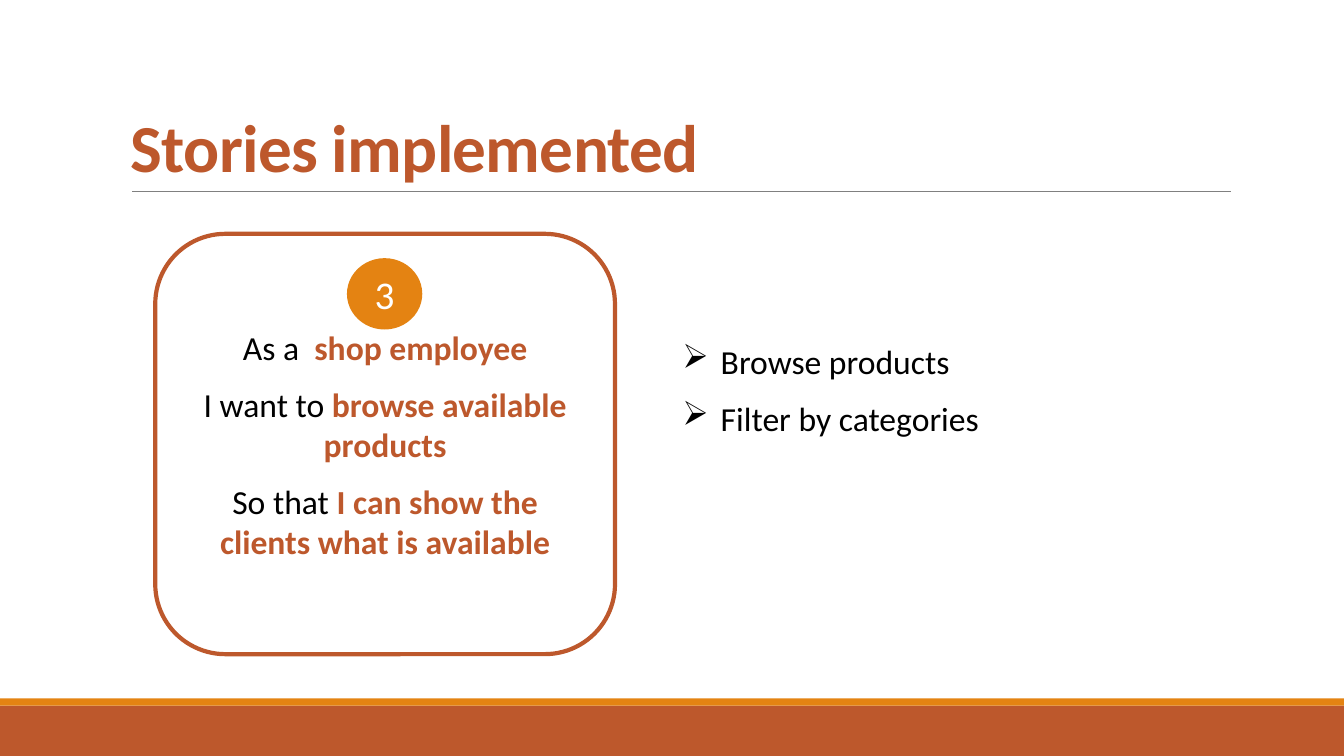
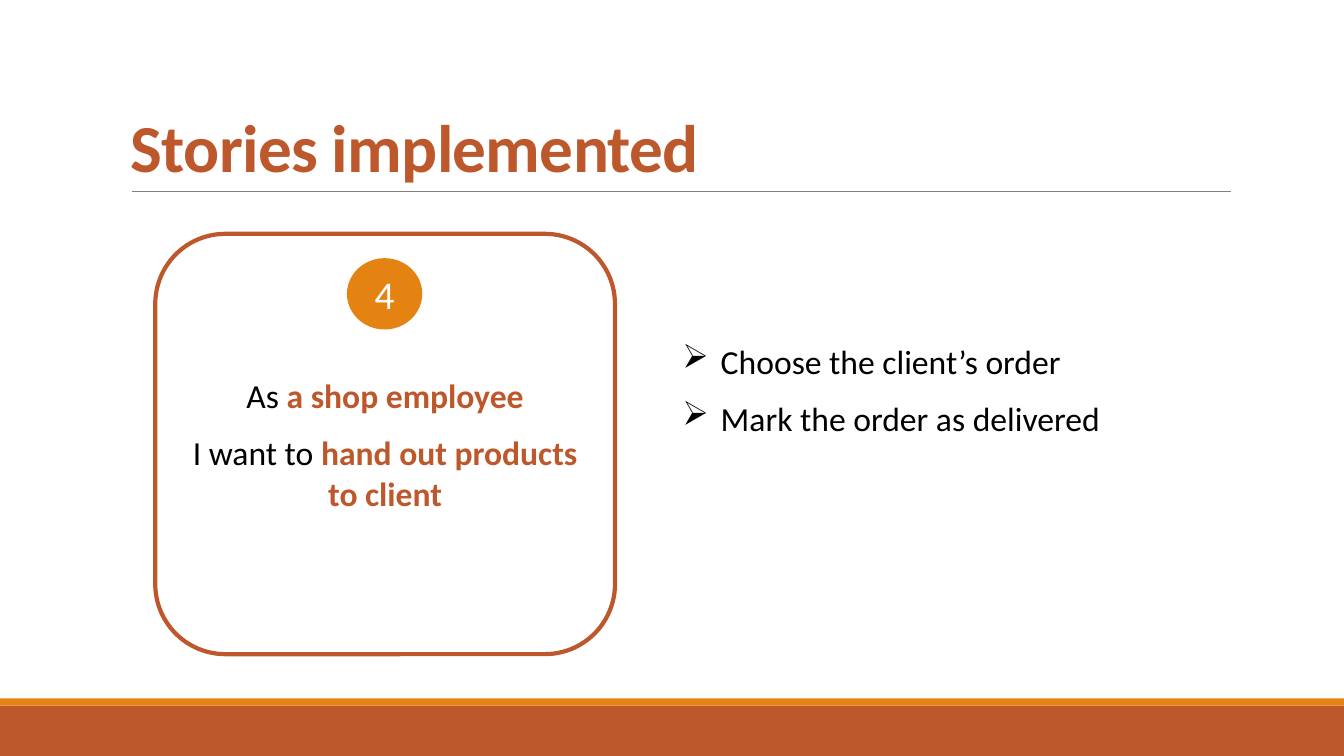
from lxml.etree import SubElement
from pptx import Presentation
from pptx.dml.color import RGBColor
from pptx.enum.shapes import MSO_CONNECTOR, MSO_SHAPE
from pptx.enum.text import MSO_ANCHOR, PP_ALIGN
from pptx.oxml.ns import qn
from pptx.util import Inches, Pt

COLOURS = {
    "rust": "BD582C",
    "orange": "E48312",
    "grey": "808080",
    "black": "000000",
    "white": "FFFFFF",
}
FONT = "Calibri"
SLIDE_WIDTH, SLIDE_HEIGHT = 13.33, 7.5
TITLE = "Stories implemented"
STORIES = [
    {
        "number": "3",
        "story": [
            ("As a ", " shop employee"),
            ("I want to ", "browse available products"),
            ("So that ", "I can show the clients what is available"),
        ],
        "features": ["Browse products", "Filter by categories"],
    },
    {
        "number": "4",
        "story": [
            ("As ", "a shop employee"),
            ("I want to ", "hand out products to client"),
        ],
        "features": ["Choose the client’s order", "Mark the order as delivered"],
    },
]


def colour(name):
    return RGBColor.from_string(COLOURS[name])


def add_span(para, text, *, size=24, ink="black", bold=False, spacing=None):
    span = para.add_run()
    span.text = text
    span.font.name = FONT
    span.font.size = Pt(size)
    span.font.bold = bold
    span.font.color.rgb = colour(ink)
    if spacing is not None:
        span.font._element.set("spc", str(int(spacing * 100)))


def add_para(frame, index, *, align=PP_ALIGN.LEFT, after=0):
    para = frame.add_paragraph() if index else frame.paragraphs[0]
    para.alignment = align
    para.space_after = Pt(after)
    return para


def add_box(page, left, top, width, height, *, anchor=MSO_ANCHOR.TOP):
    box = page.shapes.add_textbox(
        Inches(left), Inches(top), Inches(width), Inches(height))
    box.text_frame.word_wrap = True
    box.text_frame.vertical_anchor = anchor
    return box.text_frame


def add_panel(page, kind, left, top, width, height, *, fill, line=None, weight=1):
    panel = page.shapes.add_shape(
        kind, Inches(left), Inches(top), Inches(width), Inches(height))
    panel.shadow.inherit = False
    panel.fill.solid()
    panel.fill.fore_color.rgb = colour(fill)
    if line:
        panel.line.color.rgb = colour(line)
        panel.line.width = Pt(weight)
    else:
        panel.line.fill.background()
    panel.text_frame.word_wrap = True
    panel.text_frame.vertical_anchor = MSO_ANCHOR.MIDDLE
    return panel.text_frame


def add_rule(page, left, right, top):
    rule = page.shapes.add_connector(
        MSO_CONNECTOR.STRAIGHT, Inches(left), Inches(top), Inches(right), Inches(top))
    rule.line.color.rgb = colour("grey")
    rule.line.width = Pt(0.5)
    SubElement(rule._element.spPr, qn("a:effectLst"))


def add_bullet(para, mark, indent):
    properties = para._p.get_or_add_pPr()
    properties.set("marL", str(Inches(indent)))
    properties.set("indent", str(-Inches(indent)))
    SubElement(properties, qn("a:buChar")).set("char", mark)


def add_base(page, title):
    add_panel(page, MSO_SHAPE.RECTANGLE, 0, 7, SLIDE_WIDTH, 0.5, fill="rust")
    add_panel(page, MSO_SHAPE.RECTANGLE, 0, 6.93, SLIDE_WIDTH, 0.07, fill="orange")
    add_rule(page, 1.31, 12.21, 1.9)
    frame = add_box(page, 1.2, 0.31, 11, 1.59, anchor=MSO_ANCHOR.BOTTOM)
    para = add_para(frame, 0)
    para.line_spacing = 0.85
    add_span(para, title, size=48, ink="rust", bold=True, spacing=-0.5)


def add_features(page, features):
    frame = add_box(page, 6.67, 3.33, 5.48, 1.08)
    for index, feature in enumerate(features):
        para = add_para(frame, index, after=12)
        add_bullet(para, "➢", 0.38)
        add_span(para, feature)


def add_story_card(page, number, story):
    card = add_panel(page, MSO_SHAPE.ROUNDED_RECTANGLE, 1.54, 2.32, 4.56, 4.17,
                     fill="white", line="rust", weight=3)
    for index, (opening, emphasis) in enumerate(story):
        para = add_para(card, index, align=PP_ALIGN.CENTER, after=12)
        add_span(para, opening)
        add_span(para, emphasis, ink="rust", bold=True)
    badge = add_panel(page, MSO_SHAPE.OVAL, 3.45, 2.57, 0.73, 0.69,
                      fill="orange", line="orange", weight=1.25)
    add_span(add_para(badge, 0, align=PP_ALIGN.CENTER), number, size=28, ink="white")


def main():
    deck = Presentation()
    deck.slide_width = Inches(SLIDE_WIDTH)
    deck.slide_height = Inches(SLIDE_HEIGHT)
    for entry in STORIES:
        page = deck.slides.add_slide(deck.slide_layouts[6])
        add_base(page, TITLE)
        add_features(page, entry["features"])
        add_story_card(page, entry["number"], entry["story"])
    deck.save("out.pptx")


if __name__ == "__main__":
    main()
